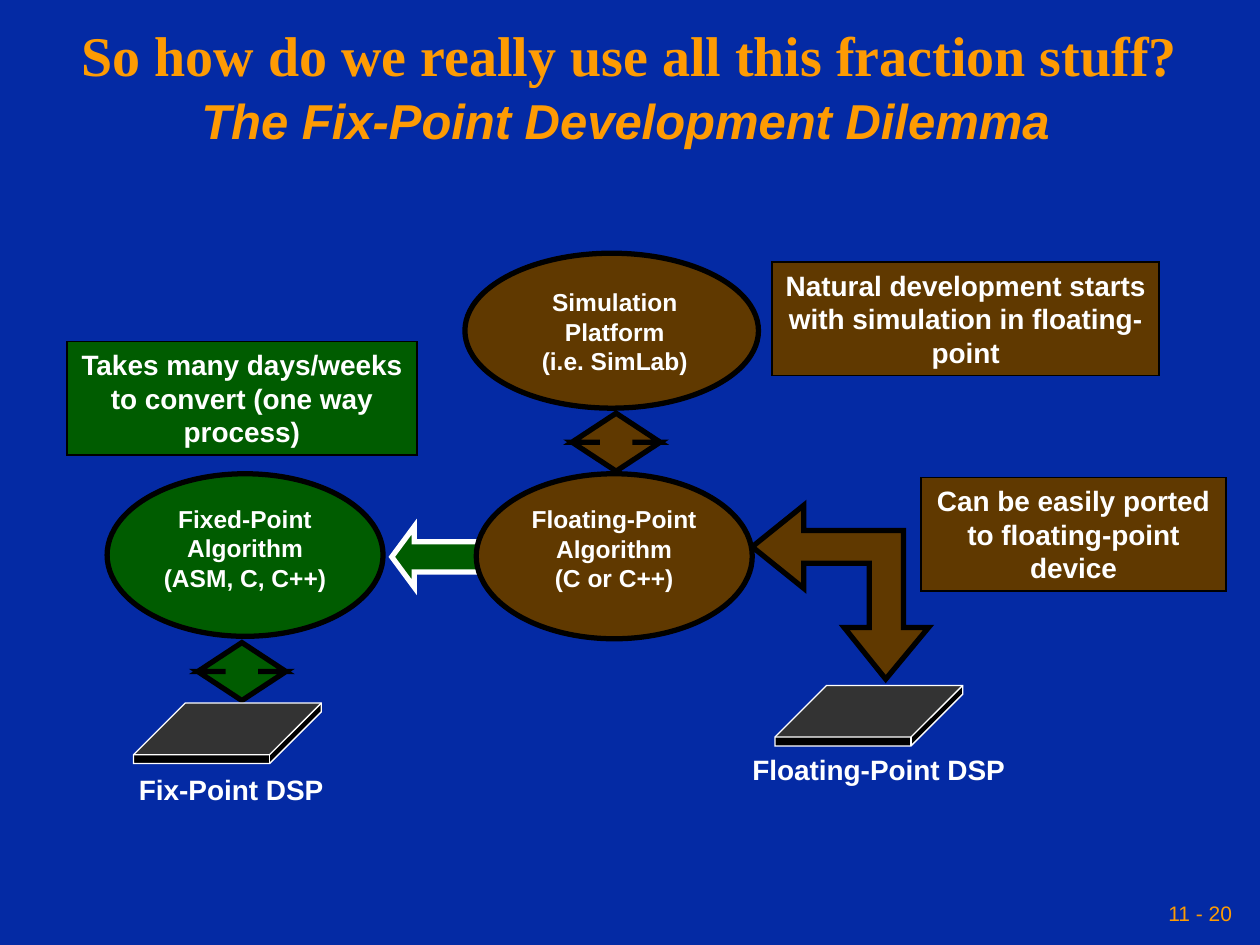
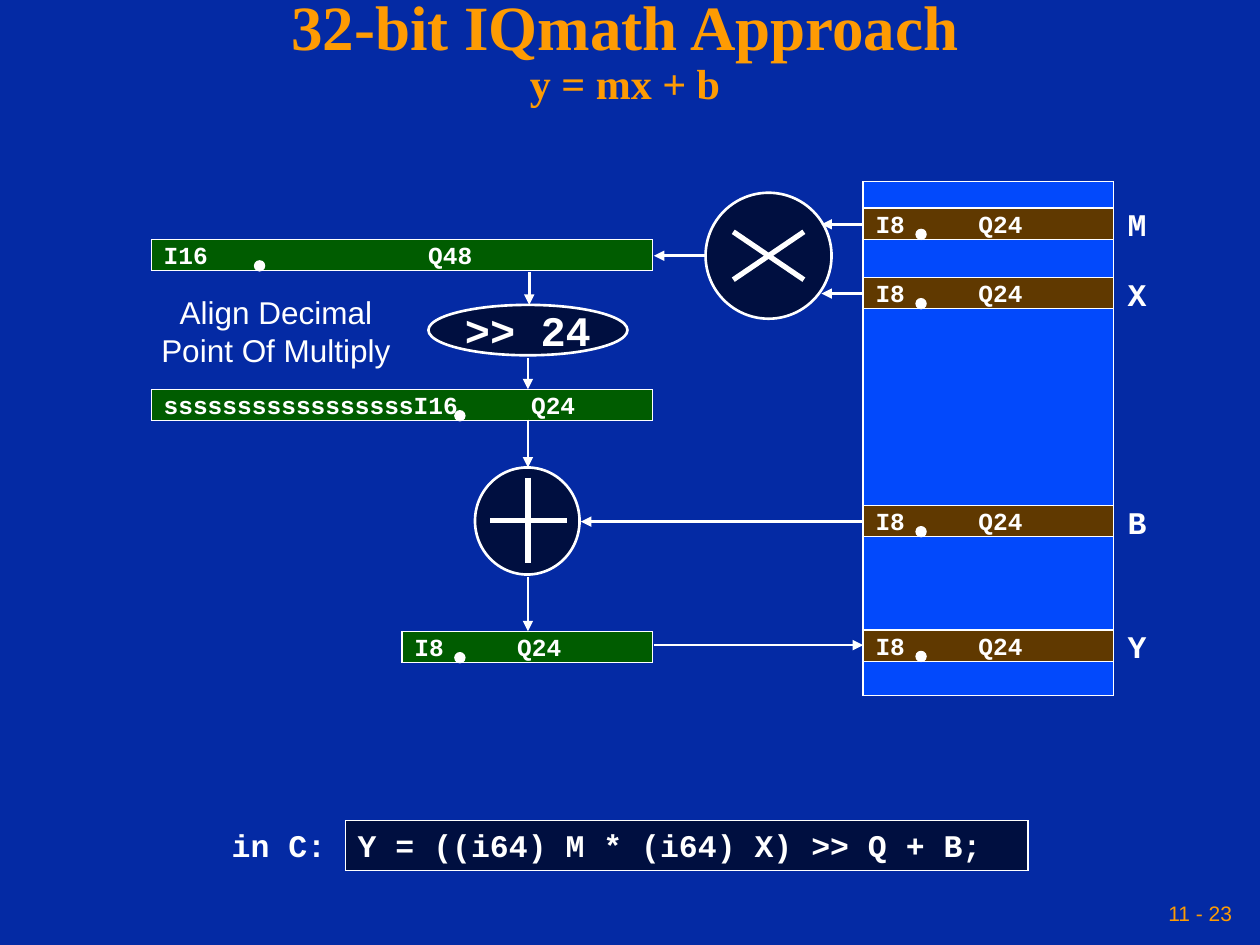
from lxml.etree import SubElement
from pptx import Presentation
from pptx.dml.color import RGBColor
from pptx.enum.shapes import MSO_CONNECTOR, MSO_SHAPE
from pptx.enum.text import MSO_ANCHOR, MSO_AUTO_SIZE, PP_ALIGN
from pptx.oxml.ns import qn
from pptx.util import Inches, Pt

COLORS = {
    "background": "042AA4", "accent": "FE9B03", "fixed": "005C00", "floating": "603900",
    "memory": "0249FC", "operator": "000F40", "white": "FFFFFF", "black": "000000",
}
SANS, SERIF, MONO = "Arial", "Times New Roman", "Courier New"
LEFT, CENTER, RIGHT = PP_ALIGN.LEFT, PP_ALIGN.CENTER, PP_ALIGN.RIGHT
TOP, MIDDLE = MSO_ANCHOR.TOP, MSO_ANCHOR.MIDDLE

DILEMMA_TITLE = "So how do we really use all this fraction stuff?"
DILEMMA_SUBTITLE = "The Fix-Point Development Dilemma"
BLOCK_ARROWS = [
    (MSO_SHAPE.LEFT_ARROW, (3.11, 4.18, 0.7, 0.48), "fixed", "white"),
    (MSO_SHAPE.UP_DOWN_ARROW, (1.57, 5.1, 0.7, 0.46), "fixed", "black"),
    (MSO_SHAPE.UP_DOWN_ARROW, (4.54, 3.28, 0.7, 0.46), "floating", "black"),
]
STAGES = [
    ((0.85, 3.76, 2.19, 1.29), "fixed", "Fixed-Point Algorithm\n(ASM, C, C++)"),
    ((3.78, 3.76, 2.19, 1.31), "floating", "Floating-Point\nAlgorithm\n(C or C++)"),
    ((3.69, 2.01, 2.33, 1.23), "floating", ""),
]
PLATFORM = ((4.21, 2.23, 1.34, 0.8), "Simulation\nPlatform\n(i.e. SimLab)")
NOTES = [
    ((0.53, 2.71, 2.78, 0.9), "fixed", "Takes many days/weeks to convert (one way process)"),
    ((7.31, 3.79, 2.42, 0.9), "floating", "Can be easily ported to floating-point device"),
    ((6.13, 2.08, 3.07, 0.9), "floating",
     "Natural development starts with simulation in floating-point"),
]
CHIPS = [
    ((1.06, 5.58), (0.72, 6.08), "Fix-Point DSP"),
    ((6.15, 5.44), (5.86, 5.92), "Floating-Point DSP"),
]
PORT_ARROW = [
    (5.97, 4.34), (6.38, 4.67), (6.38, 4.47), (6.9, 4.47), (6.9, 4.98), (6.7, 4.98),
    (7.03, 5.39), (7.37, 4.98), (7.17, 4.98), (7.17, 4.21), (6.38, 4.21), (6.38, 4.01),
]

IQ_TITLE = "32-bit IQmath Approach\vy = mx + b"
MEMORY_X, WORD_W, WORD_H = 6.85, 1.99, 0.25
VARIABLES = [("M", 1.65), ("X", 2.2), ("B", 4.01), ("Y", 5.0)]
WORD = ("I8\tQ24", 7, 0.42)
REGISTERS = [
    (1.2, 1.9, 2 * WORD_W, ("I16\tQ48", 18, 0.82)),
    (1.2, 3.09, 2 * WORD_W, ("sssssssssssssssssI16\tQ24", 25, 2.41)),
    (3.19, 5.01, WORD_W, WORD),
]
OPERATORS = [
    ((5.6, 1.53, 1, 1), ""),
    ((3.77, 3.71, 0.83, 0.85), ""),
    ((3.4, 2.42, 1.58, 0.4), ">> 24"),
]
OPERATOR_STROKES = [
    (5.82, 1.84, 6.38, 2.22), (5.82, 2.22, 6.38, 1.84),
    (4.19, 3.79, 4.19, 4.47), (3.89, 4.13, 4.5, 4.13),
]
FLOW_ARROWS = [
    (6.85, 1.78, 6.52, 1.78), (6.85, 2.33, 6.52, 2.33), (5.6, 2.03, 5.19, 2.03),
    (4.2, 2.16, 4.2, 2.42), (4.19, 2.84, 4.19, 3.09), (4.19, 3.33, 4.19, 3.71),
    (6.85, 4.14, 4.61, 4.14), (4.19, 4.58, 4.19, 5.01), (5.19, 5.12, 6.85, 5.12),
]
ALIGN_NOTE = "Align Decimal\nPoint Of Multiply"
CODE = "Y = ((i64) M * (i64) X) >> Q + B;"


def rgb(name):
    return RGBColor.from_string(COLORS[name])


def box_emu(box):
    return [Inches(v) for v in box]


def write(sp, text, size, font=SANS, color="white", bold=True, italic=False,
          align=CENTER, anchor=TOP, wrap=True, spacing=None, inset=0.1):
    tf = sp.text_frame
    tf.text = text
    tf.word_wrap = wrap
    tf.auto_size = MSO_AUTO_SIZE.NONE
    tf.vertical_anchor = anchor
    tf.margin_left = tf.margin_right = Inches(inset)
    tf.margin_top = tf.margin_bottom = Inches(0.05)
    for p in tf.paragraphs:
        p.alignment = align
        if spacing:
            p.line_spacing = spacing
        for r in p.runs:
            r.font.name, r.font.size = font, Pt(size)
            r.font.bold, r.font.italic = bold, italic
            r.font.color.rgb = rgb(color)
    return tf


def add_text(s, box, text, size, **style):
    return write(s.shapes.add_textbox(*box_emu(box)), text, size, **style)


def paint(sp, fill, line, width):
    sp.shadow.inherit = False
    sp.fill.solid()
    sp.fill.fore_color.rgb = rgb(fill)
    sp.line.color.rgb = rgb(line)
    sp.line.width = Pt(width)
    SubElement(sp._element.spPr.find(qn("a:ln")), qn("a:miter"), lim="800000")
    return sp


def add_shape(s, kind, box, fill, line="white", width=0.75, adjust=()):
    sp = s.shapes.add_shape(kind, *box_emu(box))
    for i, value in enumerate(adjust):
        sp.adjustments[i] = value
    return paint(sp, fill, line, width)


def add_line(s, ends, width, arrow=False):
    cx = s.shapes.add_connector(MSO_CONNECTOR.STRAIGHT, *box_emu(ends))
    cx.line.color.rgb = rgb("white")
    cx.line.width = Pt(width)
    spPr = cx._element.spPr
    if arrow:
        SubElement(spPr.find(qn("a:ln")), qn("a:tailEnd"), type="triangle")
    SubElement(spPr, qn("a:effectLst"))


def add_word(s, x, y, width, content, fill):
    text, q_column, dot_offset = content
    sp = add_shape(s, MSO_SHAPE.RECTANGLE, (x, y, width, WORD_H), fill)
    tf = write(sp, text, 14, font=MONO, align=LEFT, anchor=MIDDLE)
    tabs = SubElement(tf.paragraphs[0]._p.get_or_add_pPr(), qn("a:tabLst"))
    SubElement(tabs, qn("a:tab"), pos=str(Pt(q_column * 8.4)), algn="l")
    add_shape(s, MSO_SHAPE.OVAL, (x + dot_offset, y + 0.17, 0.08, 0.08), "white")


def new_slide(prs, title, box, size, number):
    s = prs.slides.add_slide(prs.slide_layouts[5])
    sp = s.shapes.title
    sp.left, sp.top, sp.width, sp.height = box_emu(box)
    write(sp, title, size, font=SERIF, color="accent", anchor=MIDDLE, spacing=0.9, inset=0.05)
    add_text(s, (6.83, 7.08, 3, 0.33), f"11 - {number}", 12, color="accent", bold=False,
             align=RIGHT, anchor=MIDDLE, inset=0.05)
    return s


def build_dilemma(prs):
    s = new_slide(prs, DILEMMA_TITLE, (0, 0.13, 10, 0.67), 32, 20)
    add_text(s, (1.5, 0.76, 6.93, 0.48), DILEMMA_SUBTITLE, 28, color="accent",
             italic=True, align=LEFT, wrap=False, spacing=0.8)
    for kind, box, fill, line in BLOCK_ARROWS:
        add_shape(s, kind, box, fill, line, 3, (0.5, 0.37))
    points = [tuple(box_emu(point)) for point in PORT_ARROW]
    fb = s.shapes.build_freeform(*points[0], scale=1.0)
    fb.add_line_segments(points[1:], close=True)
    paint(fb.convert_to_shape(), "floating", "black", 3)
    for box, fill, text in STAGES:
        sp = add_shape(s, MSO_SHAPE.OVAL, box, fill, "black", 3)
        if text:
            write(sp, text, 14)
    add_text(s, *PLATFORM, 14, wrap=False)
    for box, fill, text in NOTES:
        write(add_shape(s, MSO_SHAPE.RECTANGLE, box, fill, "black", 1), text, 16)
    for chip, label, text in CHIPS:
        add_shape(s, MSO_SHAPE.CUBE, (*chip, 1.49, 0.48), "black", adjust=(0.854,))
        add_text(s, (*label, 2.23, 0.37), text, 16)


def build_iqmath(prs):
    s = new_slide(prs, IQ_TITLE, (0, 0, 9.92, 0.83), 36, 23)
    s.shapes.title.text_frame.paragraphs[0].runs[1].font.size = Pt(24)
    add_shape(s, MSO_SHAPE.RECTANGLE, (MEMORY_X, 1.44, WORD_W, 4.08), "memory")
    for name, y in VARIABLES:
        add_word(s, MEMORY_X, y, WORD_W, WORD, "floating")
        add_text(s, (8.85, y - 0.07, 0.35, 0.4), name, 18, font=MONO, align=LEFT, wrap=False)
    for x, y, width, content in REGISTERS:
        add_word(s, x, y, width, content, "fixed")
    for box, text in OPERATORS:
        sp = add_shape(s, MSO_SHAPE.OVAL, box, "operator", width=1.5)
        if text:
            write(sp, text, 24, font=MONO, anchor=MIDDLE, wrap=False)
    for ends in OPERATOR_STROKES:
        add_line(s, ends, 3)
    for ends in FLOW_ARROWS:
        add_line(s, ends, 1.5, arrow=True)
    add_text(s, (1.18, 2.28, 2.02, 0.7), ALIGN_NOTE, 18, bold=False, wrap=False)
    code = add_shape(s, MSO_SHAPE.RECTANGLE, (2.74, 6.51, 5.42, 0.4), "operator")
    write(code, CODE, 18, font=MONO, align=LEFT)
    add_text(s, (1.74, 6.51, 1.16, 0.4), "in C:", 18, font=MONO, align=LEFT)


def main():
    prs = Presentation()
    prs.slide_width, prs.slide_height = Inches(10), Inches(7.5)
    fill = prs.slide_master.background.fill
    fill.solid()
    fill.fore_color.rgb = rgb("background")
    build_dilemma(prs)
    build_iqmath(prs)
    prs.save("out.pptx")


if __name__ == "__main__":
    main()
